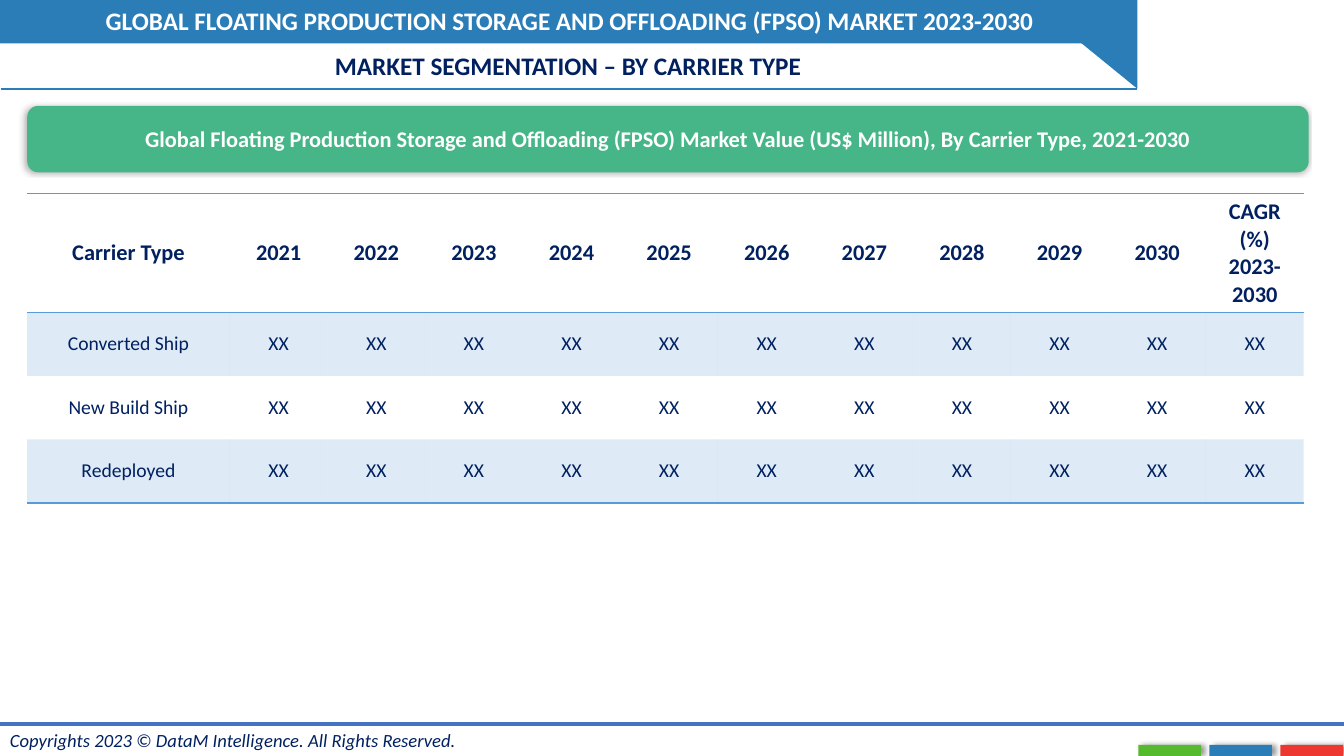
import pptx
import pptx.dml.color
import pptx.enum.shapes
import pptx.enum.text
import pptx.oxml
import pptx.oxml.ns
import pptx.util

Inches, Pt = pptx.util.Inches, pptx.util.Pt
RGB = pptx.dml.color.RGBColor
Shape = pptx.enum.shapes.MSO_SHAPE
Align = pptx.enum.text.PP_ALIGN
Anchor = pptx.enum.text.MSO_ANCHOR
Fit = pptx.enum.text.MSO_AUTO_SIZE

WHITE = RGB(0xFF, 0xFF, 0xFF)
NAVY = RGB(0x00, 0x20, 0x60)
BLUE = RGB(0x2B, 0x7D, 0xB7)
GREEN = RGB(0x46, 0xB6, 0x88)
LIME = RGB(0x56, 0xBA, 0x2E)
RED = RGB(0xED, 0x38, 0x32)
RULE = RGB(0x44, 0x72, 0xC4)
SKY = RGB(0x5B, 0x9B, 0xD5)
PLAIN = "{2D5ABB26-0587-4C30-8999-92F81FD0307C}"

YEARS = [str(year) for year in range(2021, 2031)]
HEAD = ["Carrier Type", *YEARS, "CAGR (%) 2023-2030"]
SHIPS = ["Converted Ship", "New Build Ship", "Redeployed"]


def xml(tag, body="", **attrs):
    names = " ".join(f'{key}="{value}"' for key, value in attrs.items())
    space = pptx.oxml.ns.nsdecls("a")
    return pptx.oxml.parse_xml(f"<a:{tag} {space} {names}>{body}</a:{tag}>")


def write(frame, text, size=16, color=NAVY, bold=False, italic=False,
          align=Align.CENTER, face="Calibri"):
    para = frame.paragraphs[0]
    para.alignment = align
    run = para.add_run()
    run.text = text
    font = run.font
    font.name, font.size = face, Pt(size)
    font.bold, font.italic = bold, italic
    font.color.rgb = color


def shade(shape, alpha, blur, dist, angle):
    """Give the shape an outer shadow; angle is in degrees."""
    tint = f'<a:srgbClr val="000000"><a:alpha val="{alpha * 1000}"/></a:srgbClr>'
    glow = xml("outerShdw", tint, blurRad=Pt(blur), dist=Pt(dist),
               dir=angle * 60000, algn="ctr", rotWithShape=0)
    shape._element.spPr.find(pptx.oxml.ns.qn("a:effectLst")).append(glow)


def edge(cell, *sides):
    """Draw a thin rule on the given sides, 'T' or 'B'."""
    body = f'<a:solidFill><a:srgbClr val="{SKY}"/></a:solidFill>'
    for spot, side in enumerate(sides):
        line = xml("ln" + side, body, w=Pt(1))
        cell._tc.get_or_add_tcPr().insert(spot, line)


class Deck:
    def __init__(self):
        self.show = pptx.Presentation()
        self.show.slide_width = Inches(13.33)
        self.show.slide_height = Inches(7.5)
        self.slide = self.show.slides.add_slide(self.show.slide_layouts[6])
        self.shapes = self.slide.shapes

    def block(self, kind, box, color):
        shape = self.shapes.add_shape(kind, *map(Inches, box))
        shape.shadow.inherit = False
        shape.fill.solid()
        shape.fill.fore_color.rgb = color
        shape.line.fill.background()
        return shape

    def line(self, left, right, y, color, width):
        kind = pptx.enum.shapes.MSO_CONNECTOR.STRAIGHT
        rule = self.shapes.add_connector(
            kind, Inches(left), Inches(y), Inches(right), Inches(y))
        rule.line.color.rgb = color
        rule.line.width = Pt(width)
        rule._element.spPr.append(xml("effectLst"))

    def label(self, box, text, wrap=True, **style):
        frame = self.shapes.add_textbox(*map(Inches, box)).text_frame
        frame.word_wrap = wrap
        frame.auto_size = Fit.SHAPE_TO_FIT_TEXT
        write(frame, text, **style)

    def table(self, box, rows, first, head):
        """Draw rows; first is the first column's width, head the top row's height."""
        wide, high = box[2:]
        frame = self.shapes.add_table(
            len(rows), len(rows[0]), *map(Inches, box))
        grid = frame.table
        grid._tbl.tblPr.find(pptx.oxml.ns.qn("a:tableStyleId")).text = PLAIN
        grid.first_row = grid.horz_banding = False
        for c, col in enumerate(grid.columns):
            col.width = Inches((wide - first) / (len(rows[0]) - 1) if c else first)
        for r, row in enumerate(grid.rows):
            row.height = Inches((high - head) / (len(rows) - 1) if r else head)
            for cell, text in zip(row.cells, rows[r]):
                self.cell(cell, text, r, r == len(rows) - 1)

    def cell(self, cell, text, r, last):
        cell.vertical_anchor = Anchor.MIDDLE
        if r:
            cell.margin_left = cell.margin_right = 0
            cell.margin_top = cell.margin_bottom = 0
        write(cell.text_frame, text, size=14 if r else 16, bold=r == 0)
        if r % 2:
            cell.fill.solid()
            cell.fill.fore_color.rgb = SKY
            tint = cell._tc.tcPr.find(".//" + pptx.oxml.ns.qn("a:srgbClr"))
            tint.append(xml("alpha", val=20000))
        else:
            cell.fill.background()
        if r == 0:
            edge(cell, "T", "B")
        elif last:
            edge(cell, "B")


def main():
    deck = Deck()
    deck.block(Shape.RECTANGLE, (0, 0, 10.74, 0.43), BLUE)
    for i, color in enumerate((LIME, BLUE, RED)):
        tab = deck.block(Shape.RECTANGLE, (11.29 + 0.705 * i, 7.39, 0.62, 0.11), color)
        shade(tab, 40, 4, 3, 0)
    flag = deck.block(Shape.RIGHT_TRIANGLE, (10.2, 0, 1.08, 0.88), BLUE)
    flag.rotation = 180
    deck.label((0, 7.18, 4.68, 0.33),
               "Copyrights 2023 © DataM Intelligence. All Rights Reserved.",
               wrap=False, size=13.3, italic=True, align=Align.LEFT)
    deck.line(0.01, 11.28, 0.88, BLUE, 1.5)
    deck.line(0, 13.33, 7.18, RULE, 3)
    deck.label((0.01, 0, 11.28, 0.4),
               "GLOBAL FLOATING PRODUCTION STORAGE AND OFFLOADING (FPSO) MARKET 2023-2030",
               size=18, color=WHITE, bold=True)
    deck.label((0, 0.45, 11.27, 0.4), "MARKET SEGMENTATION – BY CARRIER TYPE",
               size=18, bold=True)
    body = [[ship] + ["XX"] * (len(HEAD) - 1) for ship in SHIPS]
    deck.table((0.27, 1.92, 12.66, 3.07), [HEAD, *body], first=2.01, head=1.18)
    title = deck.block(Shape.ROUNDED_RECTANGLE, (0.27, 1.05, 12.71, 0.66), GREEN)
    shade(title, 30, 4, 2, 180)
    title.text_frame.word_wrap = True
    title.text_frame.vertical_anchor = Anchor.MIDDLE
    write(title.text_frame,
          "Global Floating Production Storage and Offloading (FPSO) Market Value "
          "(US$ Million), By Carrier Type, 2021-2030", color=WHITE, bold=True)
    deck.show.save("out.pptx")


if __name__ == "__main__":
    main()
